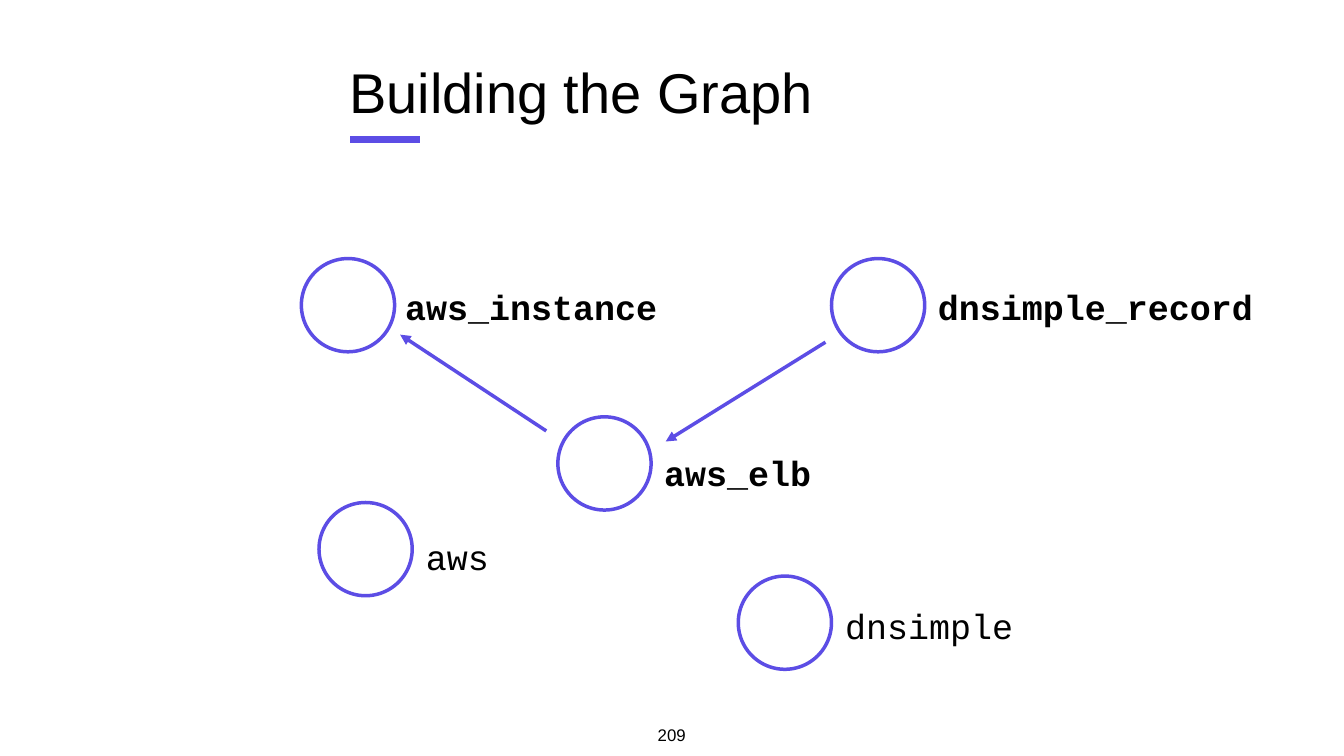
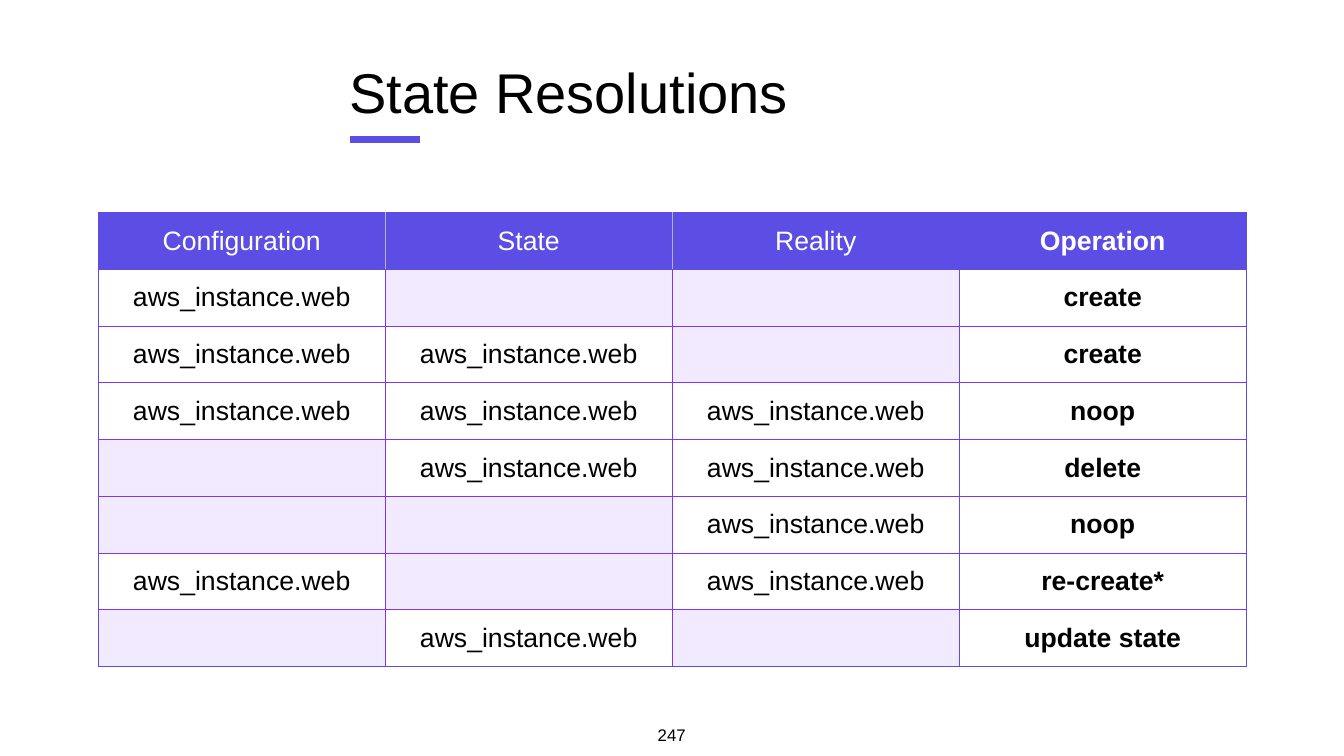
import lxml.etree
import pptx
import pptx.dml.color
import pptx.enum.shapes
import pptx.enum.text
import pptx.oxml.ns
import pptx.util

Inches, Pt = pptx.util.Inches, pptx.util.Pt
RGBColor = pptx.dml.color.RGBColor
Align = pptx.enum.text.PP_ALIGN
Anchor = pptx.enum.text.MSO_ANCHOR
qn = pptx.oxml.ns.qn

INDIGO = RGBColor(0x5C, 0x4D, 0xE5)
VIOLET = RGBColor(0x81, 0x34, 0xF7)
GREY = RGBColor(0xB4, 0xB4, 0xB4)
BLACK = RGBColor(0, 0, 0)
WHITE = RGBColor(255, 255, 255)
SANS, MONO = "Arial", "Courier New"

# Graph: circle left and top, label, label box, bold
SIZE = 1.85
NODES = [
    (6.33, 9.97, "aws", (8.39, 10.48, 1.38, 0.94), False),
    (16.5, 5.13, "dnsimple_record", (18.55, 5.53, 6.38, 0.94), True),
    (11.07, 8.27, "aws_elb", (13.12, 8.83, 3.04, 0.94), True),
    (14.65, 11.43, "dnsimple", (16.71, 11.86, 3.46, 0.94), False),
    (5.98, 5.13, "aws_instance", (7.98, 5.53, 5.13, 0.94), True),
]
ARROWS = [(10.84, 8.55, 7.94, 6.64), (16.38, 6.79, 13.21, 8.76)]

# Table: which of the three places hold the resource, and what follows
WEB = "aws_instance.web"
HEADS = ["Configuration", "State", "Reality", "Operation"]
CASES = [
    (1, 0, 0, "create"),
    (1, 1, 0, "create"),
    (1, 1, 1, "noop"),
    (0, 1, 1, "delete"),
    (0, 0, 1, "noop"),
    (1, 0, 1, "re-create*"),
    (0, 1, 0, "update state"),
]
ROWS = [HEADS] + [[WEB if held else "" for held in case[:3]] + [case[3]]
                  for case in CASES]
TABLE = (1.95, 4.22, 22.78, 9.0)

# Border colour, width and opacity
FRAME, EDGE = (INDIGO, 2, 100), (INDIGO, 1, 100)
RULE, SPLIT = (VIOLET, 1, 50), (GREY, 1, 100)


def place(box):
    return [Inches(size) for size in box]


def write(para, words, size, font=SANS, color=BLACK, bold=False):
    run = para.add_run()
    run.text = words
    run.font.size, run.font.name, run.font.bold = Pt(size), font, bold
    run.font.color.rgb = color


def inset(item):
    item.margin_left = item.margin_right = Inches(0.06)
    item.margin_top = item.margin_bottom = Inches(0.06)


def text(slide, box, words, size, fit=True, anchor=Anchor.MIDDLE, align=Align.LEFT,
         space=None, **style):
    """Add a one-line text box; fit makes it hug its text without wrapping."""
    frame = slide.shapes.add_textbox(*place(box)).text_frame
    inset(frame)
    frame.word_wrap = not fit
    if fit:
        frame.auto_size = pptx.enum.text.MSO_AUTO_SIZE.SHAPE_TO_FIT_TEXT
    frame.vertical_anchor = anchor
    para = frame.paragraphs[0]
    para.alignment = align
    if space:
        para.line_spacing = space
    write(para, words, size, **style)


def line(slide, ends, width, arrow=False):
    link = slide.shapes.add_connector(
        pptx.enum.shapes.MSO_CONNECTOR.STRAIGHT, *place(ends))
    link.line.color.rgb, link.line.width = INDIGO, Pt(width)
    props = link._element.spPr
    if arrow:
        lxml.etree.SubElement(props.find(qn("a:ln")), qn("a:tailEnd"), type="triangle")
    lxml.etree.SubElement(props, qn("a:effectLst"))


def start(deck, title, number):
    """Add a slide with the shared title, accent bar and page number."""
    slide = deck.slides.add_slide(deck.slide_layouts[6])
    line(slide, (6.95, 2.77, 8.33, 2.77), 10)
    text(slide, (6.87, 0.77, 18.85, 2.07), title, 80, fit=False)
    text(slide, (12.99, 14.31, 0.68, 0.51), str(number), 24,
         anchor=Anchor.TOP, align=Align.CENTER)
    return slide


def graph(slide):
    for left, top, *_ in NODES:
        ring = slide.shapes.add_shape(
            pptx.enum.shapes.MSO_SHAPE.OVAL, *place((left, top, SIZE, SIZE)))
        ring.shadow.inherit = False
        ring.fill.solid()
        ring.fill.fore_color.rgb = WHITE
        ring.line.color.rgb, ring.line.width = INDIGO, Pt(5)
    for ends in ARROWS:
        line(slide, ends, 5, arrow=True)
    for _, _, name, box, bold in NODES:
        text(slide, box, name, 50, space=1.2, font=MONO, bold=bold)


def upright(row, col):
    """Style of the vertical border on the left of a column."""
    if col in (0, len(HEADS)):
        return FRAME
    last = col == len(HEADS) - 1
    if row == 0:
        return EDGE if last else SPLIT
    return FRAME if last else RULE


def level(row):
    """Style of the horizontal border above a row."""
    return FRAME if row in (0, 1, len(ROWS)) else RULE


def tint(parent, color, alpha):
    fill = lxml.etree.SubElement(parent, qn("a:solidFill"))
    shade = lxml.etree.SubElement(fill, qn("a:srgbClr"), val=str(color))
    if alpha < 100:
        lxml.etree.SubElement(shade, qn("a:alpha"), val=str(alpha * 1000))


def dress(cell, row, col, words):
    """Give a cell its borders and fill."""
    props = cell._tc.get_or_add_tcPr()
    sides = {"L": upright(row, col), "R": upright(row, col + 1),
             "T": level(row), "B": level(row + 1)}
    for side, (color, width, alpha) in sides.items():
        edge = lxml.etree.SubElement(props, qn("a:ln" + side), w=str(Pt(width)))
        tint(edge, color, alpha)
    if row == 0:
        tint(props, INDIGO, 100)
    elif words:
        cell.fill.background()
    else:
        tint(props, VIOLET, 10)


def grid(slide):
    table = slide.shapes.add_table(len(ROWS), len(HEADS), *place(TABLE)).table
    table.first_row = table.horz_banding = False
    for row, items in enumerate(ROWS):
        for col, words in enumerate(items):
            cell = table.cell(row, col)
            inset(cell)
            cell.vertical_anchor = Anchor.MIDDLE
            dress(cell, row, col, words)
            if words:
                para = cell.text_frame.paragraphs[0]
                para.alignment = Align.CENTER
                write(para, words, 38, color=BLACK if row else WHITE,
                      bold=col == len(HEADS) - 1)


def main():
    deck = pptx.Presentation()
    deck.slide_width, deck.slide_height = Inches(26.67), Inches(15)
    graph(start(deck, "Building the Graph", 209))
    grid(start(deck, "State Resolutions", 247))
    deck.save("out.pptx")


if __name__ == "__main__":
    main()
